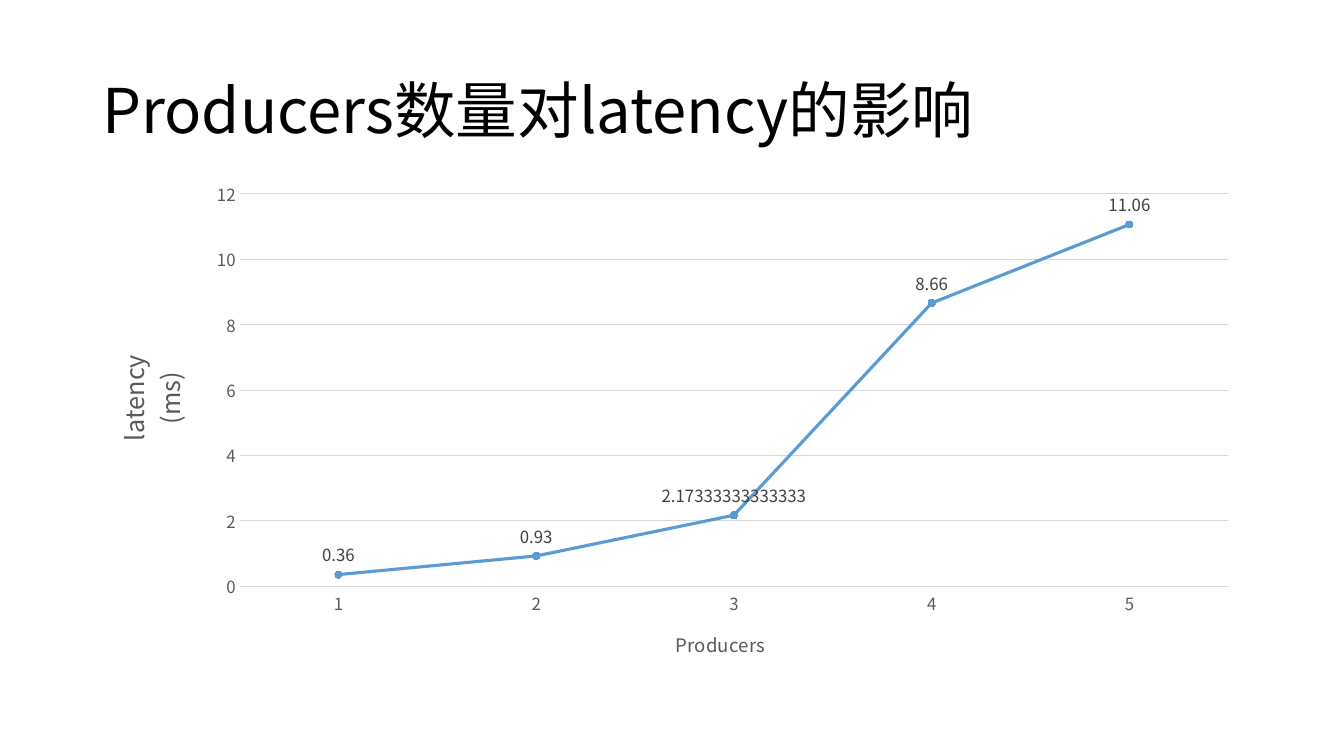
"""Build a slide with a line chart of latency against the number of producers."""
from dataclasses import dataclass

from lxml.etree import SubElement
from pptx import Presentation
from pptx.chart.axis import _BaseAxis
from pptx.chart.data import CategoryChartData
from pptx.dml.color import RGBColor
from pptx.enum.chart import XL_CHART_TYPE, XL_LABEL_POSITION, XL_MARKER_STYLE, XL_TICK_MARK
from pptx.enum.text import MSO_ANCHOR, PP_ALIGN
from pptx.oxml import parse_xml
from pptx.oxml.ns import nsdecls, qn
from pptx.text.text import Font, TextFrame
from pptx.util import Pt

FONT = "Noto Sans CJK SC"
BLUE = "5B9BD5"
GRID = "D9D9D9"
AXIS_TEXT = "595959"
LABEL_TEXT = "404040"


@dataclass(frozen=True)
class AxisTitle:
    lines: tuple[str, ...]
    size: float
    left: float
    top: float
    rotation: int


PRODUCERS_TITLE = AxisTitle(("Producers",), 13.3, 0.5, 0.89, 0)
LATENCY_TITLE = AxisTitle(("latency", "(ms)"), 18, 0.015, 0.354, -90)


def rgb(color: str) -> RGBColor:
    return RGBColor.from_string(color)


def style_font(font: Font, size: float, color: str) -> None:
    font.name = FONT
    font.size = Pt(size)
    font.bold = False
    font.color.rgb = rgb(color)


def write_text(frame: TextFrame, lines: tuple[str, ...], *, size: float, color: str,
               align: PP_ALIGN = PP_ALIGN.CENTER, spacing: float = 1.0) -> None:
    for index, line in enumerate(lines):
        paragraph = frame.add_paragraph() if index else frame.paragraphs[0]
        paragraph.alignment = align
        paragraph.line_spacing = spacing
        run = paragraph.add_run()
        run.text = line
        style_font(run.font, size, color)
        SubElement(run._r.get_or_add_rPr(), qn("a:ea"), typeface=FONT)


def place(element, index: int, target: str = "", **fractions: float) -> None:
    for old in element.findall(qn("c:layout")):
        element.remove(old)
    layout = parse_xml(f"<c:layout {nsdecls('c')}><c:manualLayout/></c:layout>")
    manual = layout[0]
    if target:
        SubElement(manual, qn("c:layoutTarget"), val=target)
    for edge in ("x", "y"):
        SubElement(manual, qn(f"c:{edge}Mode"), val="edge")
    for side, fraction in fractions.items():
        SubElement(manual, qn(f"c:{side}"), val=str(fraction))
    element.insert(index, layout)


def style_axis(axis: _BaseAxis, title: AxisTitle) -> None:
    axis.major_tick_mark = XL_TICK_MARK.NONE
    axis.minor_tick_mark = XL_TICK_MARK.NONE
    style_font(axis.tick_labels.font, 12, AXIS_TEXT)
    frame = axis.axis_title.text_frame
    write_text(frame, title.lines, size=title.size, color=AXIS_TEXT)
    frame._txBody.find(qn("a:bodyPr")).set("rot", str(title.rotation * 60000))
    place(axis.axis_title._element, 1, x=title.left, y=title.top)


def add_heading(slide) -> None:
    heading = slide.shapes.add_textbox(Pt(66), Pt(28.75), Pt(828), Pt(104.4)).text_frame
    heading.word_wrap = True
    heading.vertical_anchor = MSO_ANCHOR.MIDDLE
    write_text(heading, ("Producers数量对latency的影响",), size=44, color="000000",
               align=PP_ALIGN.LEFT, spacing=0.9)


def add_latency_chart(slide) -> None:
    measurements = CategoryChartData(number_format="General")
    measurements.categories = ["1", "2", "3", "4", "5"]
    measurements.add_series("Series 1", (0.36, 0.93, 2.1733, 8.66, 11.06))
    chart = slide.shapes.add_chart(XL_CHART_TYPE.LINE_MARKERS, Pt(66), Pt(122.4),
                                   Pt(828), Pt(364.3), measurements).chart
    chart.has_title = False
    chart.has_legend = False
    style_font(chart.font, 10, "000000")
    place(chart._chartSpace.chart.plotArea, 0, "inner", x=0.127, y=0.044, w=0.853, h=0.77)

    producers, latency = chart.category_axis, chart.value_axis
    style_axis(producers, PRODUCERS_TITLE)
    style_axis(latency, LATENCY_TITLE)
    latency.minimum_scale, latency.maximum_scale, latency.major_unit = 0, 12, 2
    latency.format.line.fill.background()
    for line in (producers.format.line, latency.major_gridlines.format.line):
        line.color.rgb = rgb(GRID)
        line.width = Pt(0.75)

    plot = chart.plots[0]
    plot.vary_by_categories = False
    series = plot.series[0]
    series.smooth = False
    series.format.line.color.rgb = rgb(BLUE)
    series.format.line.width = Pt(2.25)
    series.marker.style = XL_MARKER_STYLE.CIRCLE
    series.marker.size = 5
    series.marker.format.fill.solid()
    series.marker.format.fill.fore_color.rgb = rgb(BLUE)
    series.marker.format.line.color.rgb = rgb(BLUE)
    labels = series.data_labels
    labels.show_value = True
    labels.position = XL_LABEL_POSITION.ABOVE
    style_font(labels.font, 12, LABEL_TEXT)
    long_label = series.points[2].data_label
    write_text(long_label.text_frame, ("2.17333333333333",), size=12, color=LABEL_TEXT)
    long_label.position = XL_LABEL_POSITION.ABOVE


def main() -> None:
    presentation = Presentation()
    presentation.slide_width, presentation.slide_height = Pt(960), Pt(540)
    slide = presentation.slides.add_slide(presentation.slide_layouts[6])
    add_heading(slide)
    add_latency_chart(slide)
    presentation.save("out.pptx")


if __name__ == "__main__":
    main()
